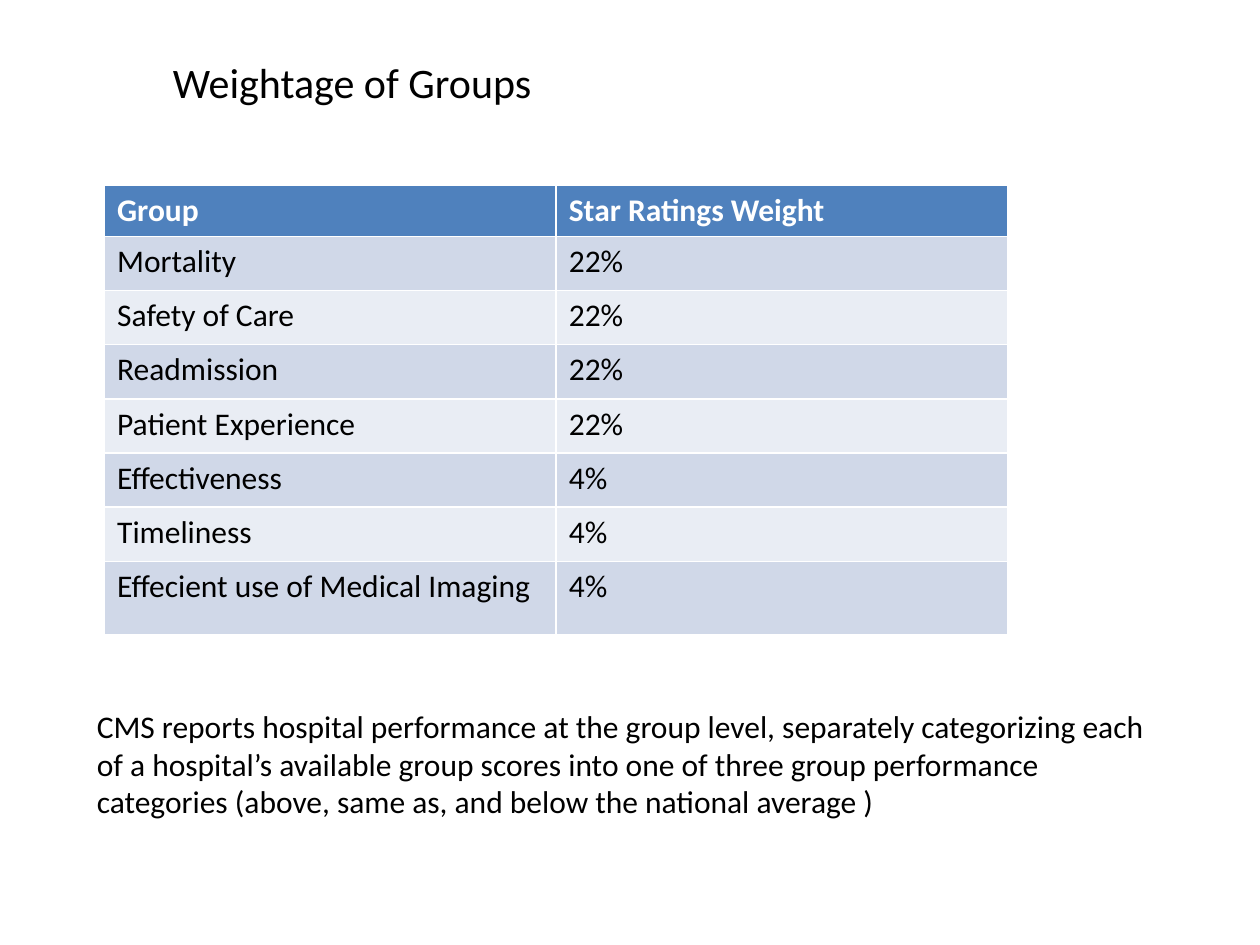
from dataclasses import dataclass

from pptx import Presentation
from pptx.dml.color import RGBColor
from pptx.enum.text import MSO_ANCHOR, PP_ALIGN
from pptx.util import Inches, Pt

HEADING = "Weightage of Groups"
COLUMNS = ("Group", "Star Ratings Weight")
WEIGHTS = [
    ("Mortality", "22%"),
    ("Safety of Care", "22%"),
    ("Readmission", "22%"),
    ("Patient Experience", "22%"),
    ("Effectiveness", "4%"),
    ("Timeliness", "4%"),
    ("Effecient use of Medical Imaging", "4%"),
]
SUMMARY = (
    "CMS reports hospital performance at the group level, separately "
    "categorizing each of a hospital\u2019s available group scores into one of "
    "three group performance categories (above, same as, and below the "
    "national average )"
)


@dataclass(frozen=True)
class Theme:
    font: str = "Calibri"
    title_size: int = 24
    body_size: int = 18
    ink: str = "000000"
    header_ink: str = "FFFFFF"
    header_fill: str = "4F81BD"
    bands: tuple = ("D0D8E8", "E9EDF4")


THEME = Theme()
HEADER_HEIGHT, ROW_HEIGHT, LAST_HEIGHT = 0.36, 0.43, 0.58


def write(frame, text, size, color, bold=False):
    frame.text = text
    for run in frame.paragraphs[0].runs:
        run.font.name = THEME.font
        run.font.size = Pt(size)
        run.font.bold = bold
        run.font.color.rgb = RGBColor.from_string(color)


def place(shape, left, top, width, height):
    shape.left, shape.top = Inches(left), Inches(top)
    shape.width, shape.height = Inches(width), Inches(height)


deck = Presentation()
deck.slide_width, deck.slide_height = Inches(10), Inches(7.5)
slide = deck.slides.add_slide(deck.slide_layouts[5])

heading = slide.shapes.title
place(heading, 0.51, 0.29, 4.57, 0.71)
write(heading.text_frame, HEADING, THEME.title_size, THEME.ink)
heading.text_frame.vertical_anchor = MSO_ANCHOR.MIDDLE
heading.text_frame.paragraphs[0].alignment = PP_ALIGN.CENTER

rows = [COLUMNS, *WEIGHTS]
heights = [HEADER_HEIGHT, *[ROW_HEIGHT] * (len(WEIGHTS) - 1), LAST_HEIGHT]
weights = slide.shapes.add_table(
    len(rows), len(COLUMNS),
    Inches(0.83), Inches(1.47), Inches(7.17), Inches(sum(heights)),
).table

for r, (row, height) in enumerate(zip(rows, heights)):
    weights.rows[r].height = Inches(height)
    is_header = r == 0
    fill = THEME.header_fill if is_header else THEME.bands[(r - 1) % 2]
    ink = THEME.header_ink if is_header else THEME.ink
    for c, text in enumerate(row):
        cell = weights.cell(r, c)
        cell.fill.solid()
        cell.fill.fore_color.rgb = RGBColor.from_string(fill)
        write(cell.text_frame, text, THEME.body_size, ink, is_header)

summary = slide.shapes.add_textbox(
    Inches(0.67), Inches(5.56), Inches(8.66), Inches(1.01)
)
summary.text_frame.word_wrap = True
write(summary.text_frame, SUMMARY, THEME.body_size, THEME.ink)

deck.save("out.pptx")
